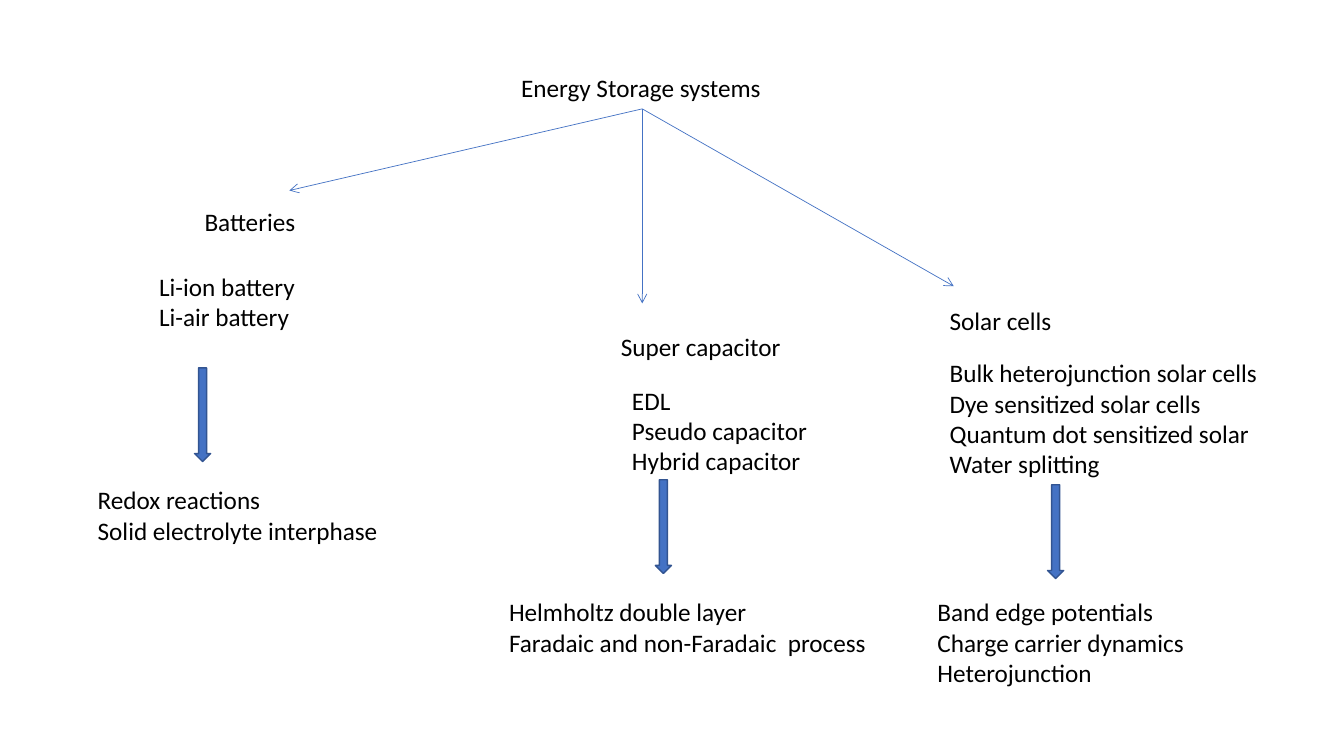
from dataclasses import dataclass

from lxml import etree
from pptx import Presentation
from pptx.dml.color import RGBColor
from pptx.enum.shapes import MSO_CONNECTOR, MSO_SHAPE
from pptx.enum.text import MSO_AUTO_SIZE
from pptx.oxml.ns import qn
from pptx.util import Pt

PX = 9144
BLUE = RGBColor(0x44, 0x72, 0xC4)
DARK_BLUE = RGBColor(0x32, 0x54, 0x91)
BLACK = RGBColor(0, 0, 0)
STRAIGHT = MSO_CONNECTOR.STRAIGHT
DOWN_ARROW = MSO_SHAPE.DOWN_ARROW
FIT_SHAPE = MSO_AUTO_SIZE.SHAPE_TO_FIT_TEXT
FONT = {"name": "Calibri", "size": Pt(18)}
LINE_HEIGHT = 30
TEXT_PADDING = 10
ARROW_WIDTH, ARROW_HEIGHT = 16, 93
ROOT = (507, 67, 260)
FORK = (637, 108)


@dataclass
class Branch:
    box: tuple
    tip: tuple
    title: tuple
    kinds: tuple
    arrow: tuple
    topics: tuple


BRANCHES = [
    Branch(
        box=(87, 200),
        tip=(200, -11),
        title=(106, 0, 112, ["Batteries"]),
        kinds=(61, 64, 157, ["Li-ion battery", "Li-air battery"]),
        arrow=(106, 165),
        topics=(0, 276, 301, ["Redox reactions", "Solid electrolyte interphase"]),
    ),
    Branch(
        box=(495, 324),
        tip=(142, -23),
        title=(111, 0, 180, ["Super capacitor"]),
        kinds=(122, 53, 196, ["EDL", "Pseudo capacitor", "Hybrid capacitor"]),
        arrow=(155, 152),
        topics=(0, 263, 378,
                ["Helmholtz double layer", "Faradaic and non-Faradaic  process"]),
    ),
    Branch(
        box=(920, 298),
        tip=(26, -14),
        title=(12, 0, 122, ["Solar cells"]),
        kinds=(12, 52, 329,
               ["Bulk heterojunction solar cells", "Dye sensitized solar cells",
                "Quantum dot sensitized solar", "Water splitting"]),
        arrow=(119, 183),
        topics=(0, 289, 267,
                ["Band edge potentials", "Charge carrier dynamics", "Heterojunction"]),
    ),
]


def emu(*lengths):
    return [length * PX for length in lengths]


def add_lines(slide, left, top, width, lines):
    height = TEXT_PADDING + LINE_HEIGHT * len(lines)
    label = slide.shapes.add_textbox(*emu(left, top, width, height)).text_frame
    label.word_wrap = False
    label.auto_size = FIT_SHAPE
    label.text = "\n".join(lines)
    for paragraph in label.paragraphs:
        for run in paragraph.runs:
            for key, value in FONT.items():
                setattr(run.font, key, value)
            run.font.color.rgb = BLACK


def add_fork_line(slide, x, y):
    fork_line = slide.shapes.add_connector(STRAIGHT, *emu(*FORK, x, y))
    fork_line.line.color.rgb = BLUE
    fork_line.line.width = Pt(0.5)
    outline = fork_line.line._get_or_add_ln()
    etree.SubElement(outline, qn("a:tailEnd"), type="arrow")
    etree.SubElement(fork_line._element.spPr, qn("a:effectLst"))


def add_down_arrow(slide, left, top):
    arrow = slide.shapes.add_shape(
        DOWN_ARROW, *emu(left, top, ARROW_WIDTH, ARROW_HEIGHT))
    arrow.shadow.inherit = False
    arrow.fill.solid()
    arrow.fill.fore_color.rgb = BLUE
    arrow.line.color.rgb = DARK_BLUE
    arrow.line.width = Pt(1)


def add_branch(slide, branch):
    left, top = branch.box
    add_fork_line(slide, left + branch.tip[0], top + branch.tip[1])
    for dx, dy, width, lines in (branch.title, branch.kinds, branch.topics):
        add_lines(slide, left + dx, top + dy, width, lines)
    add_down_arrow(slide, left + branch.arrow[0], top + branch.arrow[1])


def main():
    deck = Presentation()
    deck.slide_width, deck.slide_height = emu(1333, 750)
    slide = deck.slides.add_slide(deck.slide_layouts[6])
    add_lines(slide, *ROOT, ["Energy Storage systems"])
    for branch in BRANCHES:
        add_branch(slide, branch)
    deck.save("out.pptx")


if __name__ == "__main__":
    main()
